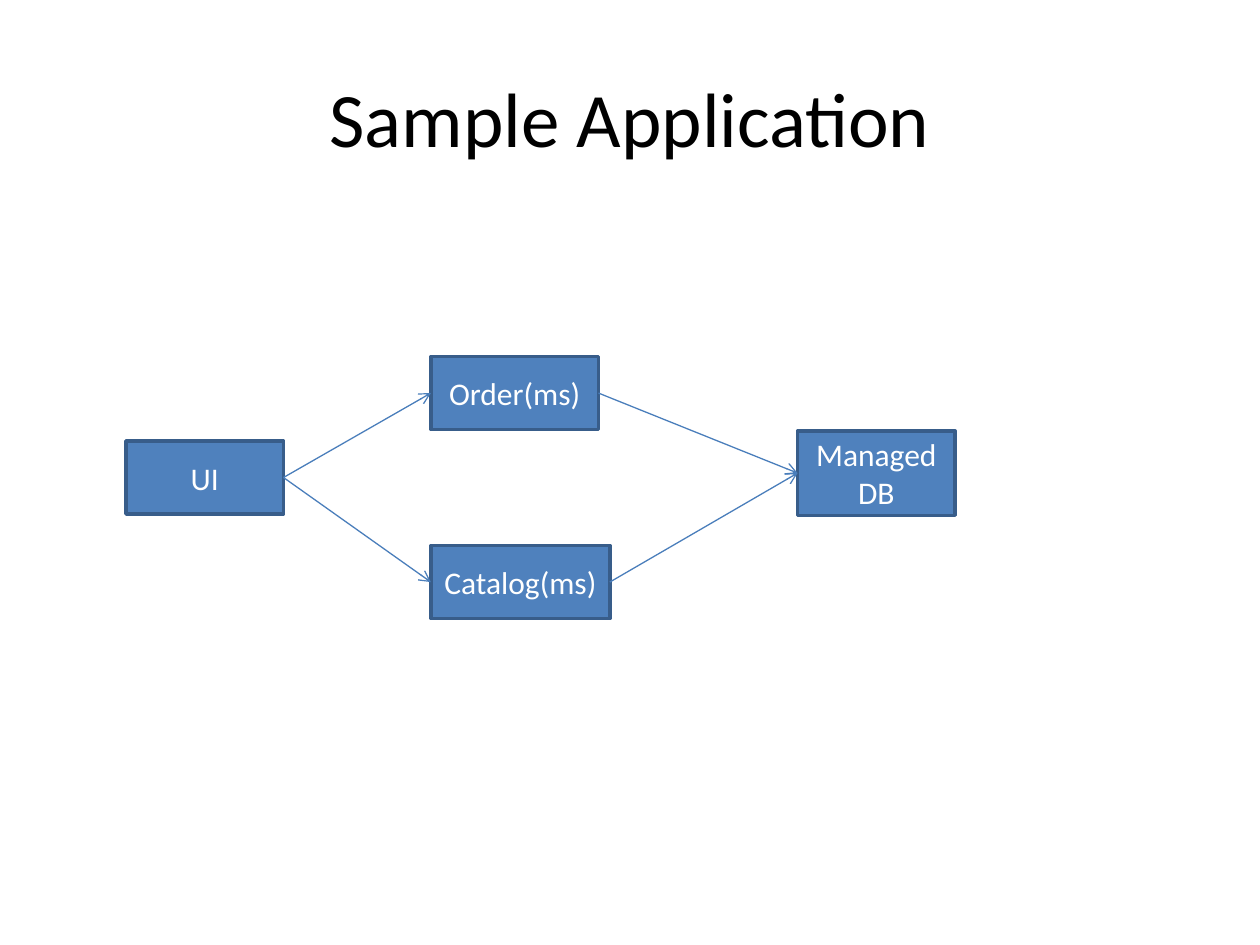
import pptx
import pptx.dml.color
import pptx.enum.shapes
import pptx.enum.text
import pptx.oxml.ns
import pptx.util
from lxml import etree

Inches = pptx.util.Inches
Pt = pptx.util.Pt

COLORS = {
    "title": "000000",
    "label": "FFFFFF",
    "service": "4F81BD",
    "border": "385D8A",
    "call": "4A7EBB",
}
SERVICES = {
    "UI": (1, 3.5, 1.25, 0.58),
    "Order(ms)": (3.42, 2.83, 1.33, 0.58),
    "Catalog(ms)": (3.42, 4.33, 1.42, 0.58),
    "Managed DB": (6.33, 3.42, 1.25, 0.67),
}
CALLS = [
    ("UI", "Order(ms)"),
    ("UI", "Catalog(ms)"),
    ("Order(ms)", "Managed DB"),
    ("Catalog(ms)", "Managed DB"),
]
LEFT_SITE, RIGHT_SITE = 1, 3


def rgb(name):
    return pptx.dml.color.RGBColor.from_string(COLORS[name])


def write_text(holder, text, size, color):
    frame = holder.text_frame
    frame_format = {
        "word_wrap": True,
        "vertical_anchor": pptx.enum.text.MSO_ANCHOR.MIDDLE,
        "margin_left": Inches(0.1),
        "margin_right": Inches(0.1),
        "margin_top": Inches(0.05),
        "margin_bottom": Inches(0.05),
    }
    for attribute, value in frame_format.items():
        setattr(frame, attribute, value)
    paragraph = frame.paragraphs[0]
    paragraph.alignment = pptx.enum.text.PP_ALIGN.CENTER
    run = paragraph.add_run()
    run.text = text
    for attribute, value in {"name": "Calibri", "size": Pt(size)}.items():
        setattr(run.font, attribute, value)
    run.font.color.rgb = rgb(color)


def add_title(slide, text):
    title = slide.shapes.add_textbox(Inches(0.5), Inches(0.3), Inches(9), Inches(1.25))
    write_text(title, text, 44, "title")


def add_service(slide, label, bounds):
    service = slide.shapes.add_shape(
        pptx.enum.shapes.MSO_SHAPE.RECTANGLE, *map(Inches, bounds)
    )
    service.shadow.inherit = False
    service.fill.solid()
    service.fill.fore_color.rgb = rgb("service")
    service.line.color.rgb = rgb("border")
    service.line.width = Pt(2)
    write_text(service, label, 18, "label")
    return service


def add_call(slide, caller, target):
    call = slide.shapes.add_connector(
        pptx.enum.shapes.MSO_CONNECTOR.STRAIGHT, 0, 0, 0, 0
    )
    call.begin_connect(caller, RIGHT_SITE)
    call.end_connect(target, LEFT_SITE)
    call.line.color.rgb = rgb("call")
    call.line.width = Pt(0.75)
    qn = pptx.oxml.ns.qn
    etree.SubElement(call.line._get_or_add_ln(), qn("a:tailEnd"), type="arrow")
    etree.SubElement(call._element.spPr, qn("a:effectLst"))


def main():
    presentation = pptx.Presentation()
    presentation.slide_width = Inches(10)
    presentation.slide_height = Inches(7.5)
    slide = presentation.slides.add_slide(presentation.slide_layouts[6])
    add_title(slide, "Sample Application")
    services = {
        label: add_service(slide, label, bounds) for label, bounds in SERVICES.items()
    }
    for caller, target in CALLS:
        add_call(slide, services[caller], services[target])
    presentation.save("out.pptx")


if __name__ == "__main__":
    main()
